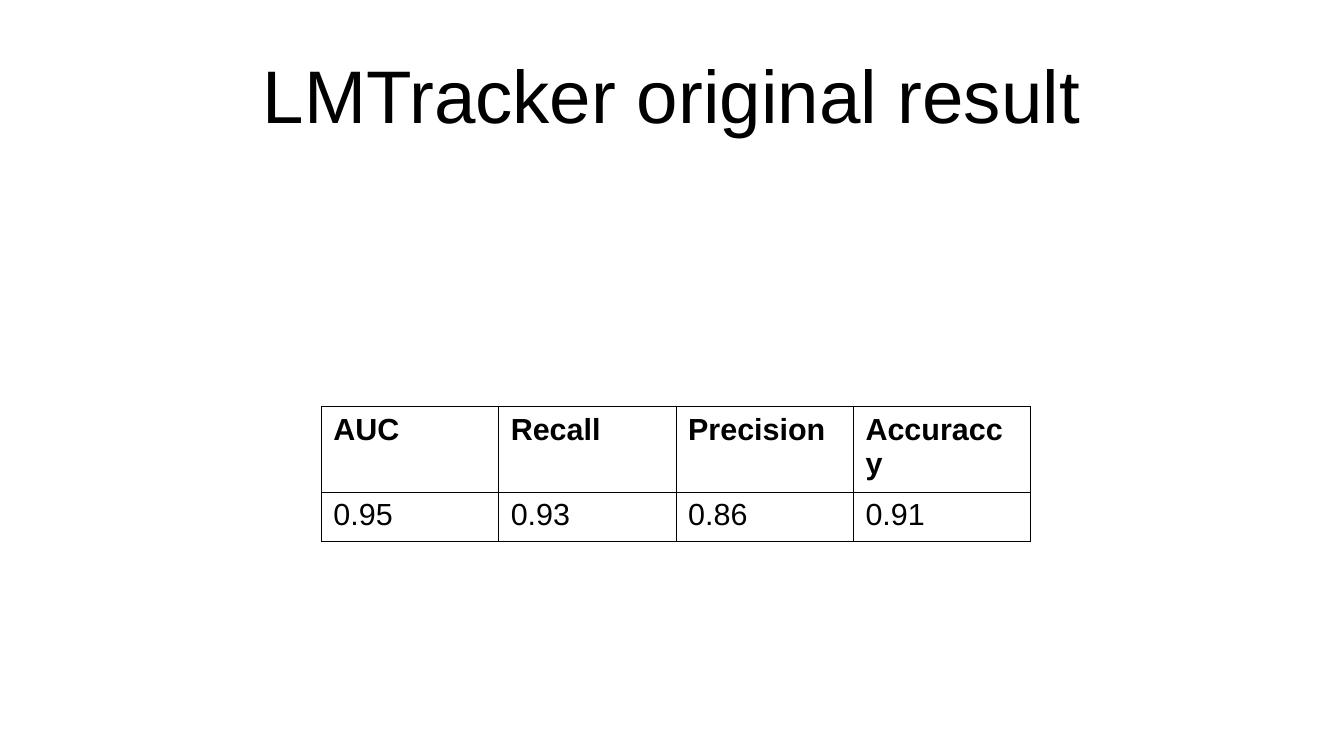
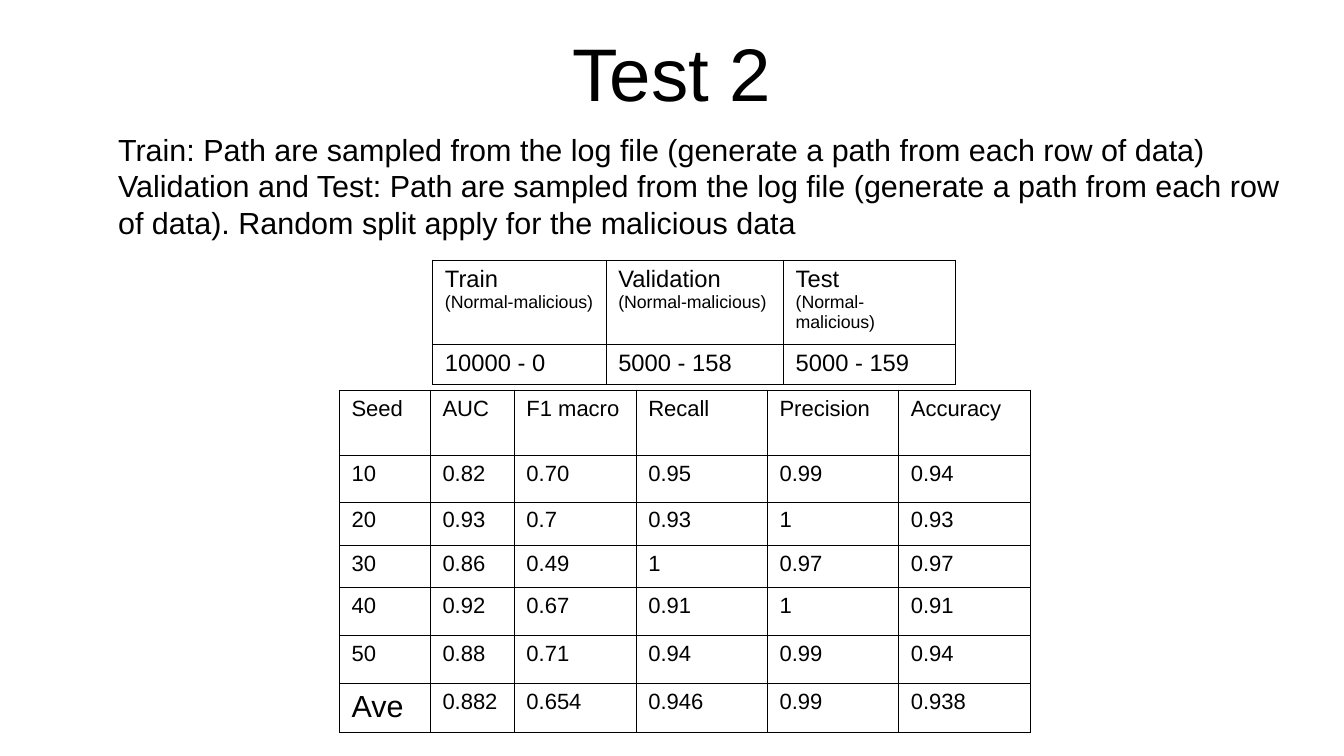
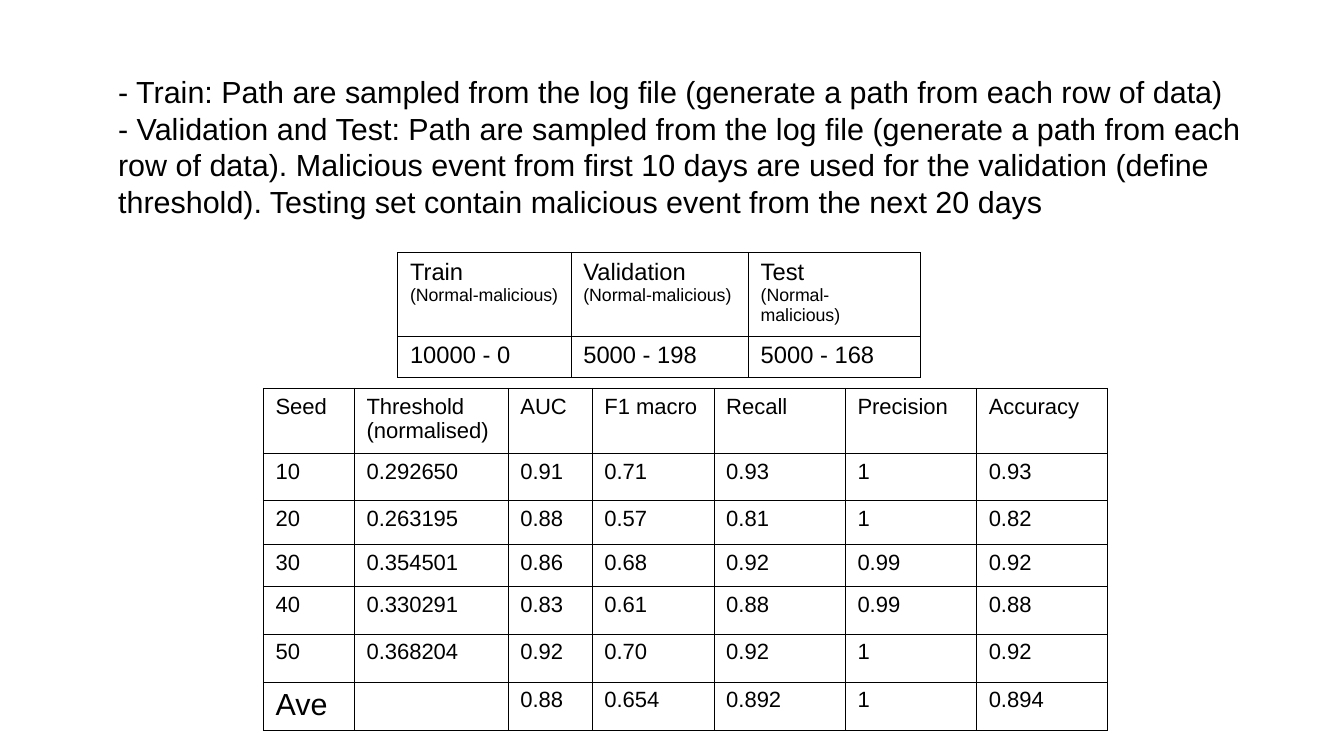
import pptx
import pptx.dml.color
import pptx.enum.text
import pptx.oxml
import pptx.oxml.ns
import pptx.util

FONT, INK = "Arial", "000000"
LINE = pptx.util.Pt(0.57)
ALIGN = pptx.enum.text.PP_ALIGN
ANCHOR = pptx.enum.text.MSO_ANCHOR

deck = pptx.Presentation()
deck.slide_width = pptx.util.Inches(11.02)
deck.slide_height = pptx.util.Inches(6.2)

# Grid of 100 columns by 100 rows
COL = deck.slide_width / 100
ROW = deck.slide_height / 100


def hue(code):
    return pptx.dml.color.RGBColor.from_string(code)


def write(frame, text, sizes, bold=False, align=ALIGN.LEFT):
    """Fill a frame; later paragraphs take the last size given."""
    frame.text = text
    frame.word_wrap = True
    for num, para in enumerate(frame.paragraphs):
        para.alignment = align
        for run in para.runs:
            run.font.name = FONT
            run.font.size = pptx.util.Pt(sizes[min(num, len(sizes) - 1)])
            run.font.bold = bold
            run.font.color.rgb = hue(INK)


# Shared column widths and row heights, in grid units
SPLIT = [12.9, 13.2, 12.8]
SEED, LIMIT = 6.77, 11.45
SCORES = [6.25, 9.07, 9.77, 9.77, 9.77]
RUNS = [6.2, 5.8, 5.55, 6.35, 6.35, 6.45]

# Shared headings
PARTS = [name + "\n(Normal-malicious)" for name in ("Train", "Validation", "Test")]
NAMES = ["AUC", "F1 macro", "Recall", "Precision", "Accuracy"]
TRAIN = "Train: Path are sampled from the log file (generate a path from each row of data)"
TEST = "Validation and Test: Path are sampled from the log file (generate a path from each row of data). "

# Each table: left, top, columns, rows, text sizes, bold header, cells
pages = [
    {
        "title": (4, "LMTracker original result"),
        "tables": [
            (23.9, 53.8, [13.2] * 4, [11.3, 6.5], [18], True, [
                ["AUC", "Recall", "Precision", "Accuraccy"],
                ["0.95", "0.93", "0.86", "0.91"],
            ]),
        ],
    },
    {
        "title": (1.1, "Test 2"),
        "tables": [
            (32.2, 34.4, SPLIT, [11.1, 5.3], [14, 10.5], False, [
                PARTS,
                ["10000 - 0", "5000 - 158", "5000 - 159"],
            ]),
            (25.25, 51.6, [SEED] + SCORES, [8.6] + RUNS, [13], False, [
                ["Seed"] + NAMES,
                ["10", "0.82", "0.70", "0.95", "0.99", "0.94"],
                ["20", "0.93", "0.7", "0.93", "1", "0.93"],
                ["30", "0.86", "0.49", "1", "0.97", "0.97"],
                ["40", "0.92", "0.67", "0.91", "1", "0.91"],
                ["50", "0.88", "0.71", "0.94", "0.99", "0.94"],
                ["Ave", "0.882", "0.654", "0.946", "0.99", "0.938"],
            ]),
        ],
        "note": (16.5, 19.7, TRAIN + "\n" + TEST
                 + "Random split apply for the malicious data"),
    },
    {
        "tables": [
            (29.6, 33.45, SPLIT, [10.45, 5.2], [14, 10.5], False, [
                PARTS,
                ["10000 - 0", "5000 - 198", "5000 - 168"],
            ]),
            (19.6, 51.35, [SEED, LIMIT] + SCORES, [8.1] + RUNS, [13], False, [
                ["Seed", "Threshold (normalised)"] + NAMES,
                ["10", "0.292650", "0.91", "0.71", "0.93", "1", "0.93"],
                ["20", "0.263195", "0.88", "0.57", "0.81", "1", "0.82"],
                ["30", "0.354501", "0.86", "0.68", "0.92", "0.99", "0.92"],
                ["40", "0.330291", "0.83", "0.61", "0.88", "0.99", "0.88"],
                ["50", "0.368204", "0.92", "0.70", "0.92", "1", "0.92"],
                ["Ave", "", "0.88", "0.654", "0.892", "1", "0.894"],
            ]),
        ],
        "note": (8.9, 24.2, "- " + TRAIN + "\n- " + TEST
                 + "Malicious event from first 10 days are used for the validation (define threshold). "
                 + "Testing set contain malicious event from the next 20 days"),
    },
]

for page in pages:
    slide = deck.slides.add_slide(deck.slide_layouts[6])

    # Title
    if "title" in page:
        top, text = page["title"]
        box = slide.shapes.add_textbox(
            int(5 * COL), int(top * ROW), int(90 * COL), int(16.8 * ROW))
        frame = box.text_frame
        frame.margin_left = frame.margin_right = 0
        frame.margin_top = frame.margin_bottom = 0
        frame.vertical_anchor = ANCHOR.MIDDLE
        write(frame, text, [44], align=ALIGN.CENTER)

    # Tables
    for left, top, cols, rows, sizes, bold, cells in page["tables"]:
        grid = slide.shapes.add_table(
            len(rows), len(cols), int(left * COL), int(top * ROW),
            int(sum(cols) * COL), int(sum(rows) * ROW)).table
        grid.first_row = grid.horz_banding = False
        for num, wide in enumerate(cols):
            grid.columns[num].width = int(wide * COL)
        for num, high in enumerate(rows):
            grid.rows[num].height = int(high * ROW)
            for pos, text in enumerate(cells[num]):
                cell = grid.cell(num, pos)
                write(cell.text_frame, text, [18] if text == "Ave" else sizes,
                      bold and num == 0)
                cell.fill.background()
                # Cell borders come before the fill
                props = cell._tc.get_or_add_tcPr()
                for spot, side in enumerate("LRTB"):
                    props.insert(spot, pptx.oxml.parse_xml(
                        f'<a:ln{side} {pptx.oxml.ns.nsdecls("a")} w="{int(LINE)}"><a:solidFill>'
                        f'<a:srgbClr val="{INK}"/></a:solidFill></a:ln{side}>'))

    # Note on the sampling
    if "note" in page:
        top, high, text = page["note"]
        box = slide.shapes.add_textbox(
            int(7.9 * COL), int(top * ROW), int(88.6 * COL), int(high * ROW))
        write(box.text_frame, text, [18])

deck.save("out.pptx")
